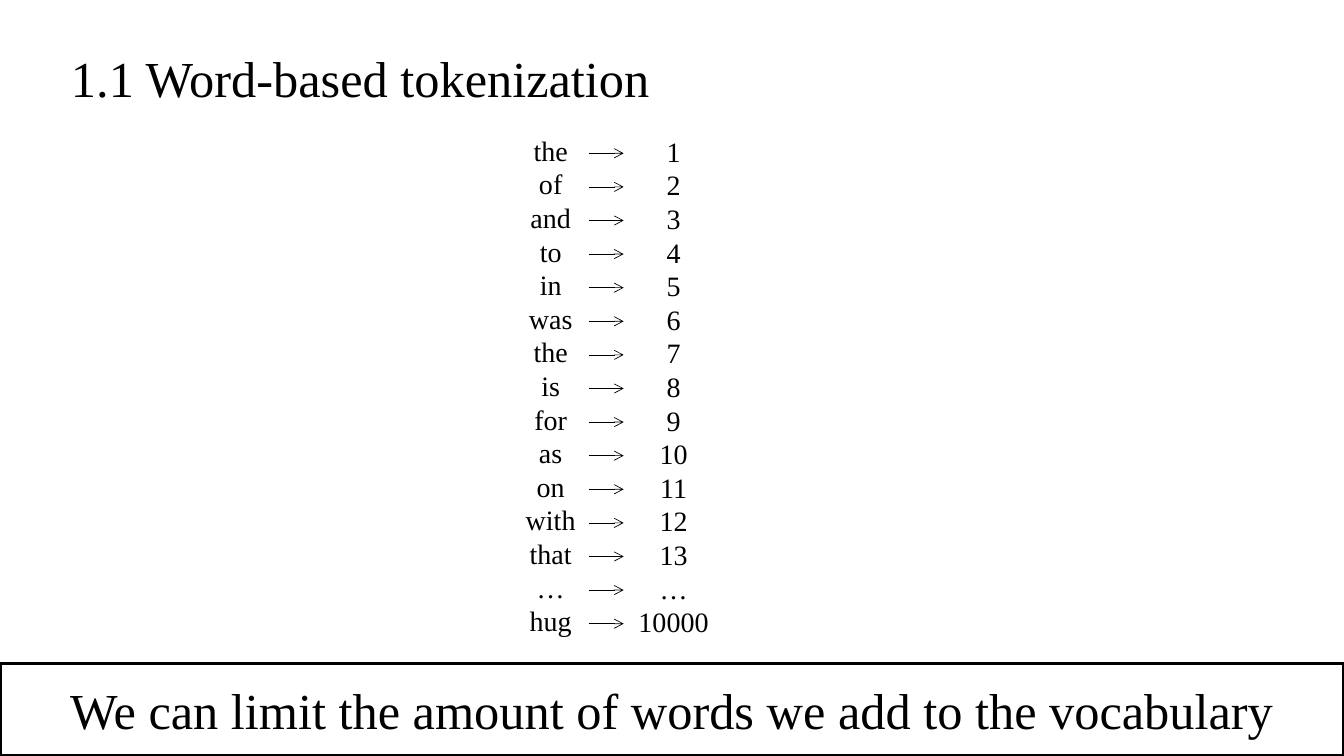
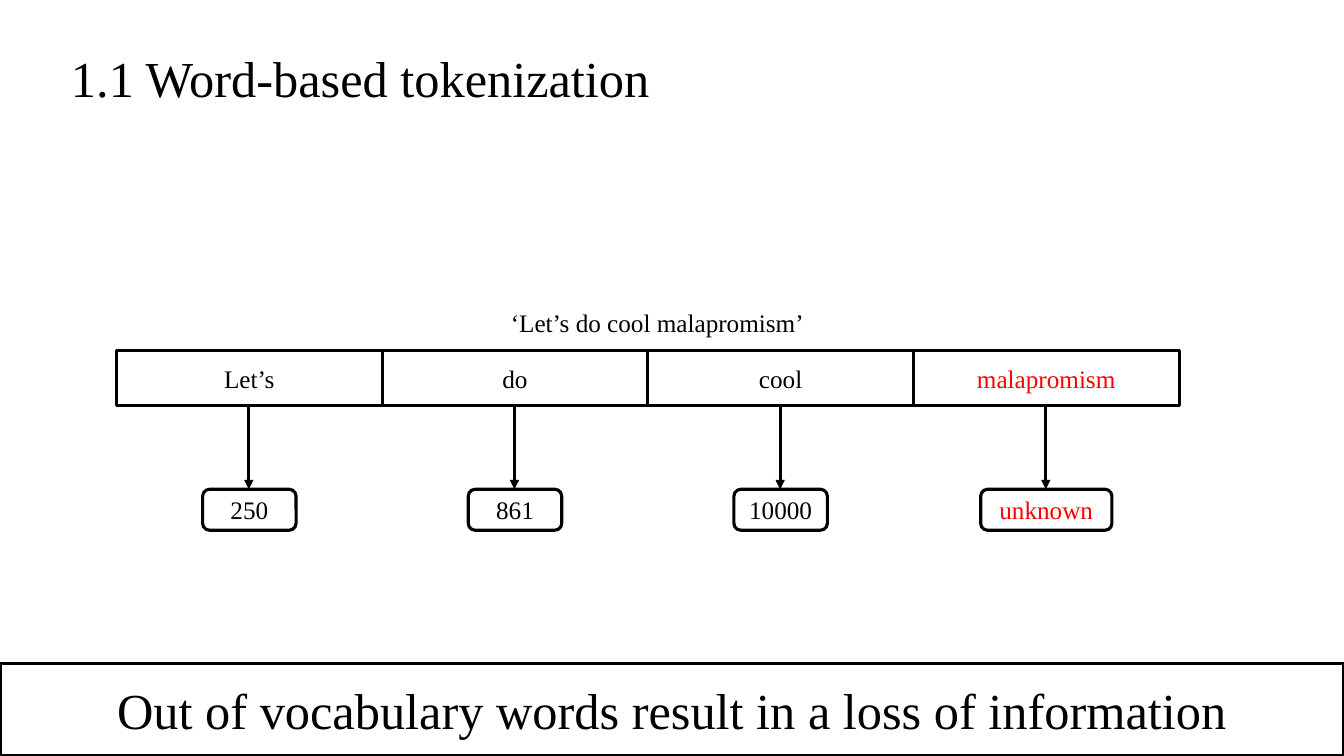
from dataclasses import dataclass

from lxml.etree import SubElement
from pptx import Presentation
from pptx.dml.color import RGBColor
from pptx.enum.shapes import MSO_CONNECTOR, MSO_SHAPE
from pptx.enum.text import MSO_ANCHOR, MSO_AUTO_SIZE, PP_ALIGN
from pptx.oxml.ns import qn
from pptx.presentation import Presentation as Deck
from pptx.slide import Slide
from pptx.text.text import TextFrame
from pptx.util import Emu, Pt

EMU_PER_PX = 9525


@dataclass(frozen=True)
class Theme:
    font: str = "Times New Roman"
    ink: RGBColor = RGBColor(0, 0, 0)
    alert: RGBColor = RGBColor(255, 0, 0)
    heading_size: int = 36
    list_size: int = 20
    label_size: int = 18
    thick_line: float = 2.25
    thin_line: float = 0.5


@dataclass(frozen=True)
class Area:
    left: int
    top: int
    width: int
    height: int

    def emu(self) -> tuple[Emu, Emu, Emu, Emu]:
        return px(self.left), px(self.top), px(self.width), px(self.height)


@dataclass(frozen=True)
class Token:
    word: str
    identifier: str
    color: RGBColor
    identifier_width: int = 89


THEME = Theme()
PAGE = Area(0, 0, 1280, 720)
TITLE = Area(58, 40, 641, 68)
BANNER = Area(0, 632, 1280, 88)
WORDS = Area(481, 122, 87, 494)
NUMBERS = Area(598, 123, 87, 494)
CAPTION = Area(477, 288, 326, 38)
FIRST_CELL = Area(111, 334, 253, 52)

ARROW_LEFT, ARROW_RIGHT = 561, 594
FIRST_ARROW_TOP, ARROW_STEP = 146, 32
IDENTIFIER_TOP, IDENTIFIER_HEIGHT = 466, 39

VOCABULARY = ["the", "of", "and", "to", "in", "was", "the", "is", "for",
              "as", "on", "with", "that", "…", "hug"]
INDICES = [str(number) for number in range(1, 14)] + ["…", "10000"]
TOKENS = [
    Token("Let’s", "250", THEME.ink),
    Token("do", "861", THEME.ink),
    Token("cool", "10000", THEME.ink),
    Token("malapromism", "unknown", THEME.alert, 125),
]


def px(length: int) -> Emu:
    return Emu(length * EMU_PER_PX)


def write(frame: TextFrame, lines: list[str], size: int,
          color: RGBColor = THEME.ink,
          align: PP_ALIGN = PP_ALIGN.CENTER) -> None:
    frame.word_wrap = True
    frame.auto_size = MSO_AUTO_SIZE.NONE
    frame.text = "\n".join(lines)
    for para in frame.paragraphs:
        para.alignment = align
        para.space_before = Pt(0)
        properties = para._p.get_or_add_pPr()
        properties.set("marL", "0")
        properties.set("indent", "0")
        SubElement(properties, qn("a:buNone"))
        para.font.name = THEME.font
        para.font.size = Pt(size)
        para.font.color.rgb = color


def add_box(page: Slide, area: Area, text: str, size: int,
            color: RGBColor = THEME.ink,
            kind: MSO_SHAPE = MSO_SHAPE.RECTANGLE) -> None:
    box = page.shapes.add_shape(kind, *area.emu())
    box.shadow.inherit = False
    box.fill.background()
    box.line.color.rgb = THEME.ink
    box.line.width = Pt(THEME.thick_line)
    box.text_frame.vertical_anchor = MSO_ANCHOR.MIDDLE
    write(box.text_frame, [text], size, color)


def add_arrow(page: Slide, start: tuple[int, int], end: tuple[int, int],
              width: float, head: str) -> None:
    arrow = page.shapes.add_connector(
        MSO_CONNECTOR.STRAIGHT, *map(px, start + end))
    arrow.line.color.rgb = THEME.ink
    arrow.line.width = Pt(width)
    properties = arrow._element.spPr
    SubElement(properties.find(qn("a:ln")), qn("a:tailEnd"), type=head)
    SubElement(properties, qn("a:effectLst"))


def add_page(deck: Deck, layout: str, message: str) -> Slide:
    page = deck.slides.add_slide(deck.slide_layouts.get_by_name(layout))
    title = page.shapes.title
    title.left, title.top, title.width, title.height = TITLE.emu()
    title.text_frame.vertical_anchor = MSO_ANCHOR.MIDDLE
    write(title.text_frame, ["1.1 Word-based tokenization"],
          THEME.heading_size, align=PP_ALIGN.LEFT)
    add_box(page, BANNER, message, THEME.heading_size)
    return page


def fill_column(page: Slide, index: int, area: Area, lines: list[str]) -> None:
    column = page.placeholders[index]
    column.left, column.top, column.width, column.height = area.emu()
    column.text_frame.margin_left = column.text_frame.margin_right = 0
    write(column.text_frame, lines, THEME.list_size)


def add_vocabulary_page(deck: Deck) -> None:
    page = add_page(deck, "Two Content",
                    "We can limit the amount of words we add to the vocabulary")
    fill_column(page, 1, WORDS, VOCABULARY)
    fill_column(page, 2, NUMBERS, INDICES)
    for row in range(len(VOCABULARY)):
        top = FIRST_ARROW_TOP + row * ARROW_STEP
        add_arrow(page, (ARROW_LEFT, top), (ARROW_RIGHT, top),
                  THEME.thin_line, "arrow")


def add_token(page: Slide, column: int, token: Token) -> None:
    cell = Area(FIRST_CELL.left + column * FIRST_CELL.width, FIRST_CELL.top,
                FIRST_CELL.width, FIRST_CELL.height)
    center = cell.left + cell.width // 2
    identifier = Area(center - token.identifier_width // 2, IDENTIFIER_TOP,
                      token.identifier_width, IDENTIFIER_HEIGHT)
    add_box(page, cell, token.word, THEME.label_size, token.color)
    add_arrow(page, (center, cell.top + cell.height), (center, IDENTIFIER_TOP),
              THEME.thick_line, "triangle")
    add_box(page, identifier, token.identifier, THEME.label_size, token.color,
            MSO_SHAPE.ROUNDED_RECTANGLE)


def add_unknown_word_page(deck: Deck) -> None:
    page = add_page(deck, "Title Only",
                    "Out of vocabulary words result in a loss of information")
    caption = page.shapes.add_textbox(*CAPTION.emu())
    write(caption.text_frame, ["‘Let’s do cool malapromism’"],
          THEME.label_size, align=PP_ALIGN.LEFT)
    for column, token in enumerate(TOKENS):
        add_token(page, column, token)


def main() -> None:
    deck = Presentation()
    deck.slide_width, deck.slide_height = px(PAGE.width), px(PAGE.height)
    add_vocabulary_page(deck)
    add_unknown_word_page(deck)
    deck.save("out.pptx")


if __name__ == "__main__":
    main()
